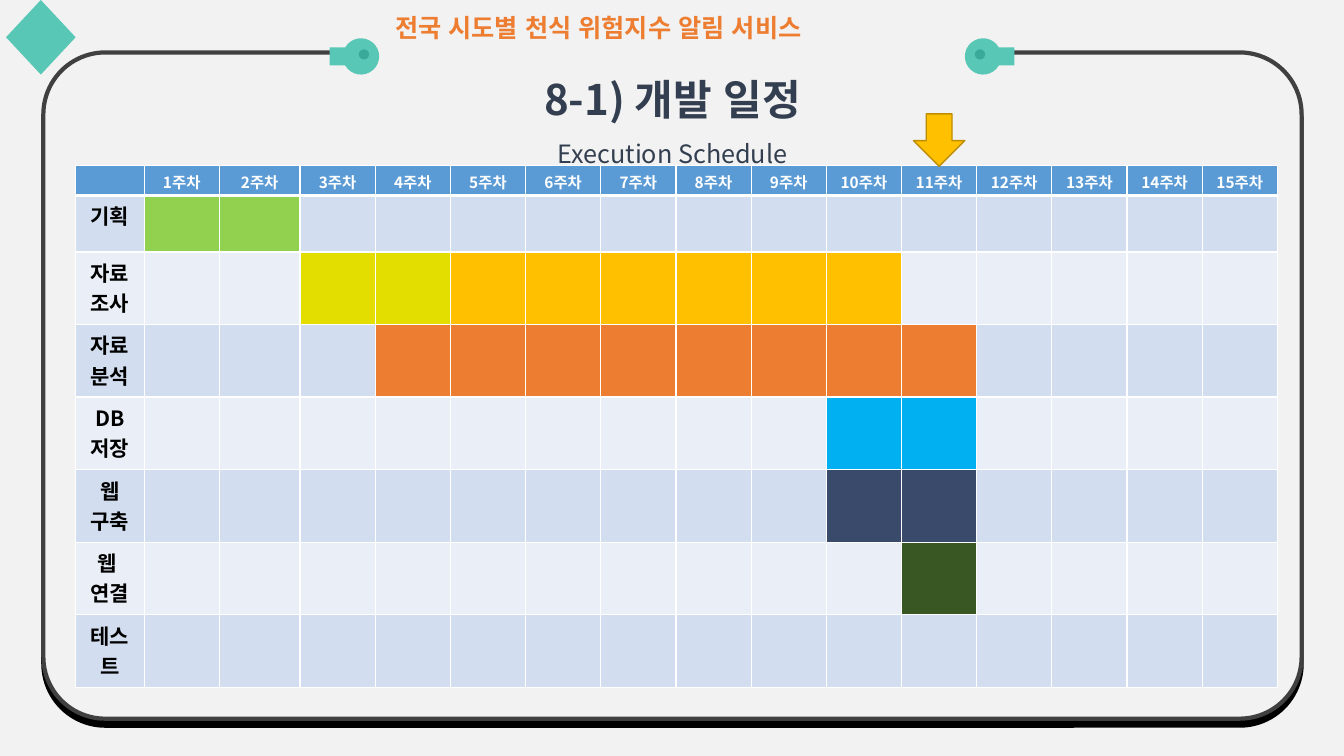
import math
from lxml import etree
from pptx import Presentation
from pptx import util as u
from pptx.dml.color import RGBColor
from pptx.enum import lang, shapes, text
from pptx.oxml.ns import qn

FONT = "Noto Sans CJK KR"
PAPER, TEAL, TEAL_DARK = "F2F2F2", "59C7B6", "39A999"
ORANGE, AMBER, NAVY, WHITE = "ED7D31", "FFC000", "333F50", "FFFFFF"
HEADER, BANDS = "5B9BD5", ("D2DEEF", "EAEFF7")
WEEKS = 15

# Task lines, then bars as (first week, last week, colour)
TASKS = [
    (["기획"], [(1, 2, "92D050")]),
    (["자료조사"], [(3, 4, "E3DE00"), (5, 10, AMBER)]),
    (["자료분석"], [(4, 11, ORANGE)]),
    (["DB저장"], [(10, 11, "00B0F0")]),
    (["웹", "구축"], [(10, 11, "3A4A6A")]),
    (["웹 ", "연결"], [(11, 11, "385723")]),
    (["테스트"], []),
]


def paint(target, colour):
    target.fill.solid()
    target.fill.fore_color.rgb = RGBColor.from_string(colour)


def finish(shape, fill, line=None, width=1):
    shape.shadow.inherit = False
    paint(shape, fill)
    if line:
        shape.line.color.rgb = RGBColor.from_string(line)
        shape.line.width = u.Pt(width)
    else:
        shape.line.fill.background()


def add_preset(slide, kind, box, fill, line=None, width=1):
    shape = slide.shapes.add_shape(kind, *map(u.Inches, box))
    finish(shape, fill, line, width)
    return shape


def add_outline(slide, points, fill):
    start, *rest = [(u.Inches(x), u.Inches(y)) for x, y in points]
    builder = slide.shapes.build_freeform(*start)
    builder.add_line_segments(rest, close=True)
    finish(builder.convert_to_shape(), fill)


def write(paragraph, words, size, colour, bold=True, align=None):
    run = paragraph.add_run()
    run.text = words
    run.font.size, run.font.bold, run.font.name = u.Pt(size), bold, FONT
    run.font.language_id = lang.MSO_LANGUAGE_ID.KOREAN
    run.font.color.rgb = RGBColor.from_string(colour)
    etree.SubElement(run.font._element, qn("a:ea")).set("typeface", FONT)
    paragraph.alignment = align


def write_lines(frame, lines, size, colour):
    for i, words in enumerate(lines):
        paragraph = frame.add_paragraph() if i else frame.paragraphs[0]
        write(paragraph, words, size, colour, align=text.PP_ALIGN.CENTER)


def add_frame(slide):
    frame = add_preset(slide, shapes.MSO_SHAPE.ROUNDED_RECTANGLE,
                       (0.43, 0.52, 12.48, 6.61), PAPER, "404040", 3)
    frame.adjustments[0] = 0.093
    effects = frame._element.spPr.find(qn("a:effectLst"))
    shadow = etree.SubElement(effects, qn("a:outerShdw"), blurRad="0",
                              dist=str(u.Pt(5)), dir="5400000", algn="t", rotWithShape="0")
    etree.SubElement(shadow, qn("a:srgbClr"), val="000000")


def add_title(slide):
    title = add_preset(slide, shapes.MSO_SHAPE.RECTANGLE, (3.32, 0.45, 6.7, 1.25), PAPER)
    frame = title.text_frame
    frame.word_wrap = True
    frame.vertical_anchor = text.MSO_ANCHOR.MIDDLE
    frame.auto_size = text.MSO_AUTO_SIZE.SHAPE_TO_FIT_TEXT
    heading, subtitle = frame.paragraphs[0], frame.add_paragraph()
    write(heading, "8-1) 개발 일정", 30, NAVY, align=text.PP_ALIGN.CENTER)
    write(subtitle, "Execution Schedule", 18, NAVY, False, text.PP_ALIGN.CENTER)
    heading.line_spacing = subtitle.line_spacing = 1.5


def arc(x, y, radius, side, reach=180, steps=24):
    """Points round a centre, facing away from the stem."""
    angles = [math.radians(-reach + 2 * reach * i / steps) for i in range(steps + 1)]
    return [(x + side * radius * math.cos(a), y + radius * math.sin(a)) for a in angles]


def add_clasp(slide, x, y, side):
    """Round knob on a stem; side is 1 when the stem points left, -1 when right."""
    stem = x - side * 0.31
    knob = arc(x, y, 0.18, side, reach=150)
    add_outline(slide, [(stem, y - 0.09), *knob, (stem, y + 0.09)], TEAL)
    add_outline(slide, arc(x + side * 0.03, y - 0.02, 0.05, side), TEAL_DARK)


def set_borders(cell, **widths):
    props = cell._tc.get_or_add_tcPr()
    for i, side in enumerate("LRTB"):
        line = etree.Element(qn(f"a:ln{side}"), w=str(u.Pt(widths.get(side, 1))))
        fill = etree.SubElement(line, qn("a:solidFill"))
        etree.SubElement(fill, qn("a:srgbClr"), val=WHITE)
        props.insert(i, line)


def add_schedule(slide):
    total, tasks, second_week = 11.92, 0.68, 0.8
    week_width = (total - tasks - second_week) / (WEEKS - 1)
    widths = [tasks, week_width, second_week] + [week_width] * (WEEKS - 2)
    heights = [0.3, 0.56] + [0.72] * 6
    table = slide.shapes.add_table(len(heights), len(widths), *map(
        u.Inches, (0.75, 1.64, total, sum(heights)))).table
    for row, height in zip(table.rows, heights):
        row.height = u.Inches(height)
    for column, width in zip(table.columns, widths):
        column.width = u.Inches(width)

    # Week header
    for week in range(WEEKS + 1):
        cell = table.cell(0, week)
        paint(cell, HEADER)
        set_borders(cell, B=3)
        if week:
            write_lines(cell.text_frame, [f"{week}주차"], 11, WHITE)
    corner = table.cell(0, 0).text_frame.paragraphs[0]
    etree.SubElement(corner._p, qn("a:endParaRPr"), sz="1100")

    # Task rows with their bars
    for row, (lines, bars) in enumerate(TASKS, 1):
        colours = [BANDS[(row - 1) % 2]] * (WEEKS + 1)
        for first, last, colour in bars:
            colours[first:last + 1] = [colour] * (last - first + 1)
        for week, colour in enumerate(colours):
            cell = table.cell(row, week)
            paint(cell, colour)
            set_borders(cell, T=3 if row == 1 else 1)
        write_lines(table.cell(row, 0).text_frame, lines, 15, "000000")


def add_project_name(slide):
    box = slide.shapes.add_textbox(*map(u.Inches, (3.82, 0.07, 4.69, 0.4)))
    box.text_frame.word_wrap = False
    box.text_frame.auto_size = text.MSO_AUTO_SIZE.SHAPE_TO_FIT_TEXT
    write(box.text_frame.paragraphs[0], "전국 시도별 천식 위험지수 알림 서비스", 18, ORANGE)


def main():
    deck = Presentation()
    deck.slide_width, deck.slide_height = u.Inches(13.33), u.Inches(7.5)
    slide = deck.slides.add_slide(deck.slide_layouts[6])
    paint(slide.background, PAPER)

    # Frame, title and clasps
    add_frame(slide)
    add_title(slide)
    add_clasp(slide, 9.75, 0.56, -1)
    add_clasp(slide, 3.58, 0.56, 1)
    add_preset(slide, shapes.MSO_SHAPE.DIAMOND, (0.06, 0, 0.69, 0.74), TEAL)

    # Schedule with the current-week marker
    add_schedule(slide)
    add_preset(slide, shapes.MSO_SHAPE.DOWN_ARROW, (9.06, 1.13, 0.51, 0.52), AMBER, "BD8E00")
    add_project_name(slide)
    deck.save("out.pptx")


if __name__ == "__main__":
    main()
